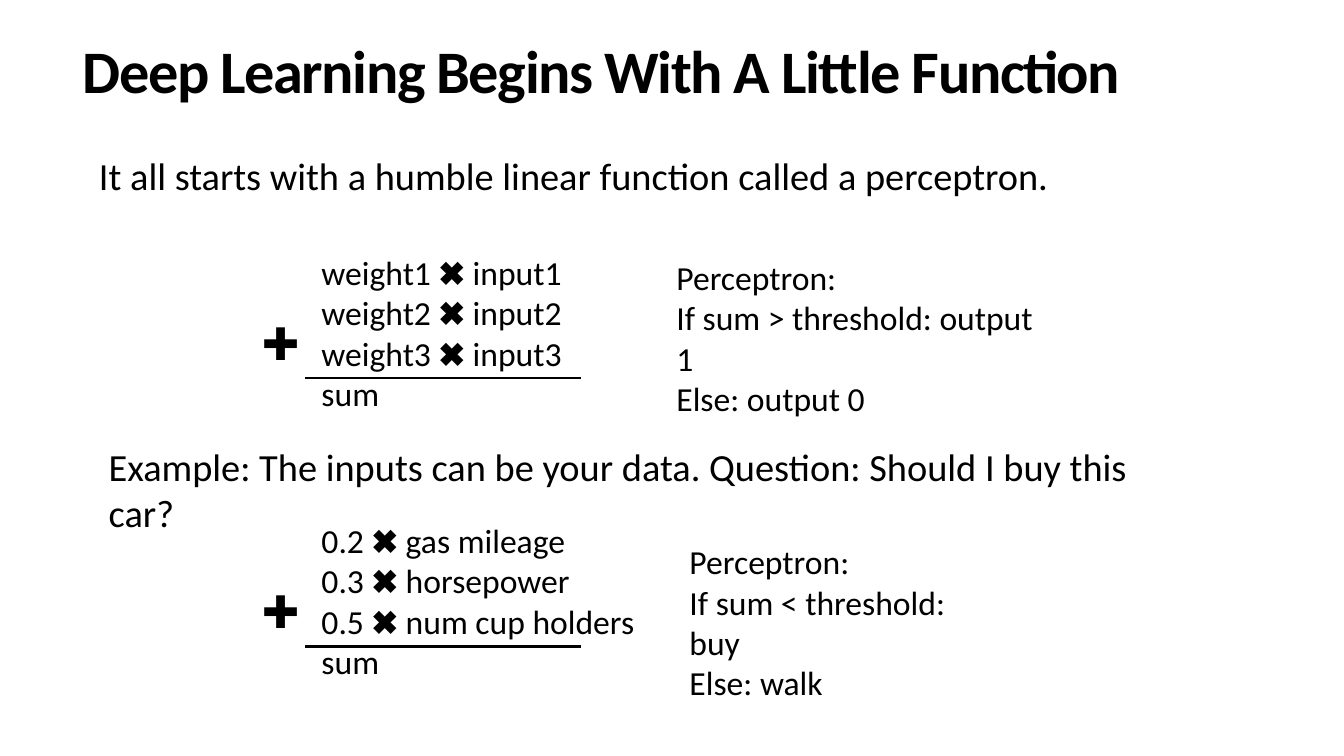
from pptx import Presentation
from pptx.dml.color import RGBColor
from pptx.enum.shapes import MSO_CONNECTOR as CONN
from pptx.enum.text import MSO_ANCHOR as ANCHOR, PP_ALIGN as ALIGN
from pptx.oxml.ns import qn
from pptx.util import Inches, Pt

INK = "000000"


def color(hex_string):
    return RGBColor.from_string(hex_string)


def add_text(shapes, box, lines, size, align=ALIGN.LEFT, bold=False):
    """Text box with one paragraph per line, anchored at the top."""
    tf = shapes.add_textbox(*(Inches(v) for v in box)).text_frame
    tf.word_wrap = True
    tf.vertical_anchor = ANCHOR.TOP
    style = {"name": "Calibri", "size": Pt(size), "bold": bold}
    for i, line in enumerate(lines):
        p = tf.paragraphs[0] if i == 0 else tf.add_paragraph()
        p.alignment = align
        r = p.add_run()
        r.text = line
        for name, value in style.items():
            setattr(r.font, name, value)
        r.font.color.rgb = color(INK)
    return tf


def add_title(slide, box, text):
    tf = add_text(slide.shapes, box, [text], 43.1, ALIGN.JUSTIFY, bold=True)
    p = tf.paragraphs[0]
    p.line_spacing = 0.9
    # Tighten the letters by one point
    p.runs[0].font._element.set("spc", "-100")


def add_weighted_sum(slide, box, terms):
    """Column addition: plus sign, terms, rule and sum, as one group."""
    left, top, width, height = box
    shapes = slide.shapes.add_group_shape().shapes

    # Terms and their sum
    add_text(shapes, (left + 0.59, top, width - 0.59, height),
             [*terms, "sum"], 24)

    # Rule above the sum
    y = Inches(top + 1.3)
    rule = shapes.add_connector(CONN.STRAIGHT, Inches(left + 0.53), y,
                                Inches(left + 3.26), y)
    rule.line.color.rgb = color(INK)
    rule.line.width = Pt(2)
    sp_pr = rule._element.spPr
    sp_pr.append(sp_pr.makeelement(qn("a:effectLst"), {}))

    # Plus sign
    add_text(shapes, (left, top + 0.63, 0.59, 0.64), ["✚"], 32)


def add_decision(slide, box, rule, otherwise):
    add_text(slide.shapes, box, ["Perceptron:", rule, otherwise], 24)


def build_slide(prs):
    slide = prs.slides.add_slide(prs.slide_layouts[6])

    # General form
    add_text(slide.shapes, (0.67, 1.46, 10.03, 0.56),
             ["It all starts with a humble linear function called a perceptron."],
             27.4, ALIGN.CENTER)
    add_weighted_sum(slide, (2.5, 2.45, 3.24, 1.72),
                     [f"weight{n} ✖ input{n}" for n in (1, 2, 3)])
    add_decision(slide, (6.61, 2.5, 3.85, 1.31),
                 "If sum > threshold: output 1", "Else: output 0")

    # Example
    add_text(slide.shapes, (0.98, 4.35, 10.9, 0.56),
             ["Example: The inputs can be your data. "
              "Question: Should I buy this car?"], 27.4)
    add_weighted_sum(slide, (2.5, 5.11, 3.97, 1.72),
                     ["0.2 ✖ gas mileage", "0.3 ✖ horsepower",
                      "0.5 ✖ num cup holders"])
    add_decision(slide, (6.74, 5.32, 3.1, 1.31),
                 "If sum < threshold: buy", "Else: walk")

    # Title
    add_title(slide, (0.72, 0.36, 12.6, 0.98),
              "Deep Learning Begins With A Little Function")


def main():
    prs = Presentation()
    prs.slide_width = Inches(13.33)
    prs.slide_height = Inches(7.5)
    build_slide(prs)
    prs.save("out.pptx")


if __name__ == "__main__":
    main()
